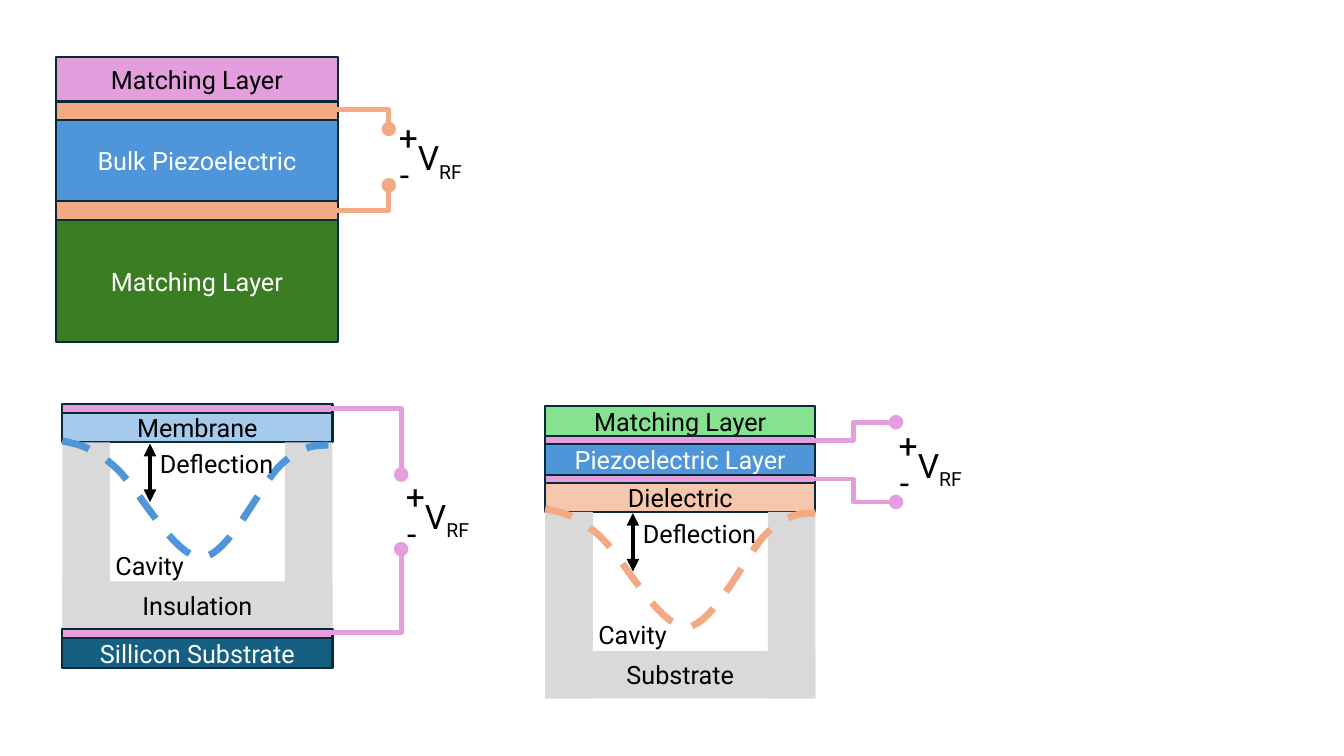
from dataclasses import dataclass

from lxml import etree
from pptx import Presentation
from pptx import util as u
from pptx.dml.color import RGBColor
from pptx.enum import dml, shapes, text
from pptx.oxml import ns


@dataclass(frozen=True)
class Theme:
    font: str = "Roboto"
    label: int = 18
    voltage: int = 24
    edge: float = 1.5
    lead: float = 3.5
    curve: float = 5
    arrow: float = 3
    black: str = "000000"
    white: str = "FFFFFF"
    outline: str = "092A39"
    pink: str = "E59EDD"
    orange: str = "F2AA84"
    peach: str = "F6C6AD"
    blue: str = "4E95D9"
    sky: str = "A6CAEC"
    teal: str = "156082"
    green: str = "3B7D23"
    mint: str = "84E291"
    grey: str = "D9D9D9"


T = Theme()

# All lengths are centimetres. A layer is (text, height, fill, text colour);
# a layer whose fill is None is the cavity and its text names the cavity floor.
# A lead is (start, end, share of the width before the bend).
TRANSDUCERS = [
    dict(
        corner=(1.42, 1.44), width=7.09, lead_colour=T.orange, plus=(9.8, 2.82),
        layers=[
            ("Matching Layer", 1.12, T.pink, T.black),
            ("", 0.47, T.orange, T.black),
            ("Bulk Piezoelectric", 2.04, T.blue, T.white),
            ("", 0.47, T.orange, T.black),
            ("Matching Layer", 3.08, T.green, T.white),
        ],
        leads=[((7.95, 2.77), (9.8, 3.25), 1), ((7.95, 5.31), (9.8, 4.67), 1)],
    ),
    dict(
        corner=(1.57, 10.19), width=6.81, lead_colour=T.pink, plus=(9.98, 11.86),
        layers=[
            ("", 0.22, T.pink, T.black),
            ("Membrane", 0.74, T.sky, T.black),
            ("Insulation", 4.7, None, T.black),
            ("", 0.23, T.pink, T.black),
            ("Sillicon Substrate", 0.76, T.teal, T.white),
        ],
        leads=[((8.26, 15.95), (10.11, 13.84), 1), ((8.26, 10.29), (10.11, 11.96), 1)],
        curve=dict(colour=T.blue, scale=0.985, drop=0.04),
    ),
    dict(
        corner=(13.74, 10.24), width=6.81, lead_colour=T.pink, plus=(22.4, 10.57),
        layers=[
            ("Matching Layer", 0.74, T.mint, T.black),
            ("", 0.22, T.pink, T.black),
            ("Piezoelectric Layer", 0.76, T.blue, T.white),
            ("", 0.22, T.pink, T.black),
            ("Dielectric", 0.72, T.peach, T.black),
            ("Substrate", 4.7, None, T.black),
        ],
        leads=[((20.42, 11.1), (22.58, 10.64), 0.5), ((20.42, 12.07), (22.58, 12.65), 0.5)],
        curve=dict(colour=T.orange, scale=1, drop=0),
    ),
]
WALL = 1.2
# Cubic control points, measured from the upper left corner of the cavity walls.
DEFLECTION = [
    (0, -0.08), (0.36, 0), (0.74, 0.05), (1.32, 0.56), (1.91, 1.04), (2.84, 2.9), (3.56, 2.9),
    (4.27, 2.87), (5.08, 0.99), (5.61, 0.51), (6.15, 0.03), (6.48, 0.03), (6.81, 0.03),
]
CURVE_STEPS = 16


def write(frame, wording, *, size=T.label, colour=T.black, align=None, subscript=""):
    paragraph = frame.paragraphs[0]
    paragraph.alignment = align
    for part in filter(None, (wording, subscript)):
        run = paragraph.add_run()
        run.text = part
        run.font.name = T.font
        run.font.size = u.Pt(size)
        run.font.color.rgb = RGBColor.from_string(colour)
    if subscript:
        run._r.get_or_add_rPr().set("baseline", "-25000")


def label(group, wording, left, top, width, height, **style):
    box = group.shapes.add_textbox(*map(u.Cm, (left, top, width, height)))
    box.text_frame.word_wrap = False
    box.text_frame.auto_size = text.MSO_AUTO_SIZE.SHAPE_TO_FIT_TEXT
    write(box.text_frame, wording, **style)


def block(group, left, top, width, height, fill, wording="", colour=T.black, outlined=True):
    rect = group.shapes.add_shape(
        shapes.MSO_SHAPE.RECTANGLE, *map(u.Cm, (left, top, width, height)))
    rect.shadow.inherit = False
    rect.fill.solid()
    rect.fill.fore_color.rgb = RGBColor.from_string(fill)
    if outlined:
        stroke(rect.line, T.outline, T.edge)
    else:
        rect.line.fill.background()
    if wording:
        rect.text_frame.vertical_anchor = text.MSO_ANCHOR.MIDDLE
        write(rect.text_frame, wording, colour=colour, align=text.PP_ALIGN.CENTER)


def stroke(line, colour, width):
    line.color.rgb = RGBColor.from_string(colour)
    line.width = u.Pt(width)


def connect(group, kind, start, end, colour, width, **ends):
    """Draw a connector; ends maps headEnd and tailEnd to arrowhead types."""
    connector = group.shapes.add_connector(kind, *map(u.Cm, (*start, *end)))
    stroke(connector.line, colour, width)
    properties = connector._element.spPr
    for end_tag, head in ends.items():
        etree.SubElement(properties.find(ns.qn("a:ln")), ns.qn(f"a:{end_tag}"), type=head)
    etree.SubElement(properties, ns.qn("a:effectLst"))
    return connector


def lead(group, start, end, bend, colour):
    elbow = connect(group, shapes.MSO_CONNECTOR.ELBOW, start, end, colour, T.lead, tailEnd="oval")
    geometry = elbow._element.spPr.find(ns.qn("a:prstGeom"))
    guides = geometry.find(ns.qn("a:avLst"))
    if guides is None:
        guides = etree.SubElement(geometry, ns.qn("a:avLst"))
    etree.SubElement(guides, ns.qn("a:gd"), name="adj1", fmla=f"val {round(bend * 100000)}")


def bezier_points(controls):
    """Sample a chain of cubic curves that share their end points."""
    points = [controls[0]]
    for first in range(0, len(controls) - 1, 3):
        for step in range(1, CURVE_STEPS + 1):
            t = step / CURVE_STEPS
            weights = ((1 - t) ** 3, 3 * t * (1 - t) ** 2, 3 * t * t * (1 - t), t ** 3)
            points.append(tuple(
                sum(w * c[axis] for w, c in zip(weights, controls[first:first + 4]))
                for axis in (0, 1)))
    return points


def deflection_curve(group, left, top, colour, scale, drop):
    start, *rest = [
        (u.Cm(left + x * scale), u.Cm(top + y * scale + drop))
        for x, y in bezier_points(DEFLECTION)]
    builder = group.shapes.build_freeform(*start)
    builder.add_line_segments(rest, close=False)
    membrane = builder.convert_to_shape()
    membrane.shadow.inherit = False
    membrane.fill.background()
    stroke(membrane.line, colour, T.curve)
    membrane.line.dash_style = dml.MSO_LINE.DASH


def cavity(group, left, top, width, height, floor_text):
    block(group, left, top + height - WALL, width, WALL, T.grey, floor_text, outlined=False)
    for wall_left in (left, left + width - WALL):
        block(group, wall_left, top, WALL, height, T.grey, outlined=False)


def cavity_details(group, left, top, curve):
    deflection_curve(group, left, top, **curve)
    middle = left + 2.21
    connect(group, shapes.MSO_CONNECTOR.STRAIGHT, (middle, top + 0.03), (middle, top + 1.5),
            T.black, T.arrow, headEnd="triangle", tailEnd="triangle")
    label(group, "Cavity", left + 1.09, top + 2.59, 2.24, 1.02)
    label(group, "Deflection", middle, top + 0.03, 3.38, 1.02)


def voltage(group, left, top):
    label(group, "+", left, top, 0.97, 1.27, size=T.voltage)
    label(group, "-", left + 0.03, top + 0.94, 0.81, 1.27, size=T.voltage)
    label(group, "V", left + 0.48, top + 0.51, 1.65, 1.27, size=T.voltage, subscript="RF")


def transducer(slide, corner, width, layers, leads, lead_colour, plus, curve=None):
    group = slide.shapes.add_group_shape()
    left, top = corner
    for wording, height, fill, colour in layers:
        if fill is None:
            cavity(group, left, top, width, height, wording)
            cavity_top = top
        else:
            block(group, left, top, width, height, fill, wording, colour)
        top += height
    if curve:
        cavity_details(group, left, cavity_top, curve)
    for start, end, bend in leads:
        lead(group, start, end, bend, lead_colour)
    voltage(group, *plus)


def main():
    deck = Presentation()
    deck.slide_width, deck.slide_height = u.Cm(33.87), u.Cm(19.05)
    slide = deck.slides.add_slide(deck.slide_layouts[6])
    for parts in TRANSDUCERS:
        transducer(slide, **parts)
    deck.save("out.pptx")


if __name__ == "__main__":
    main()
